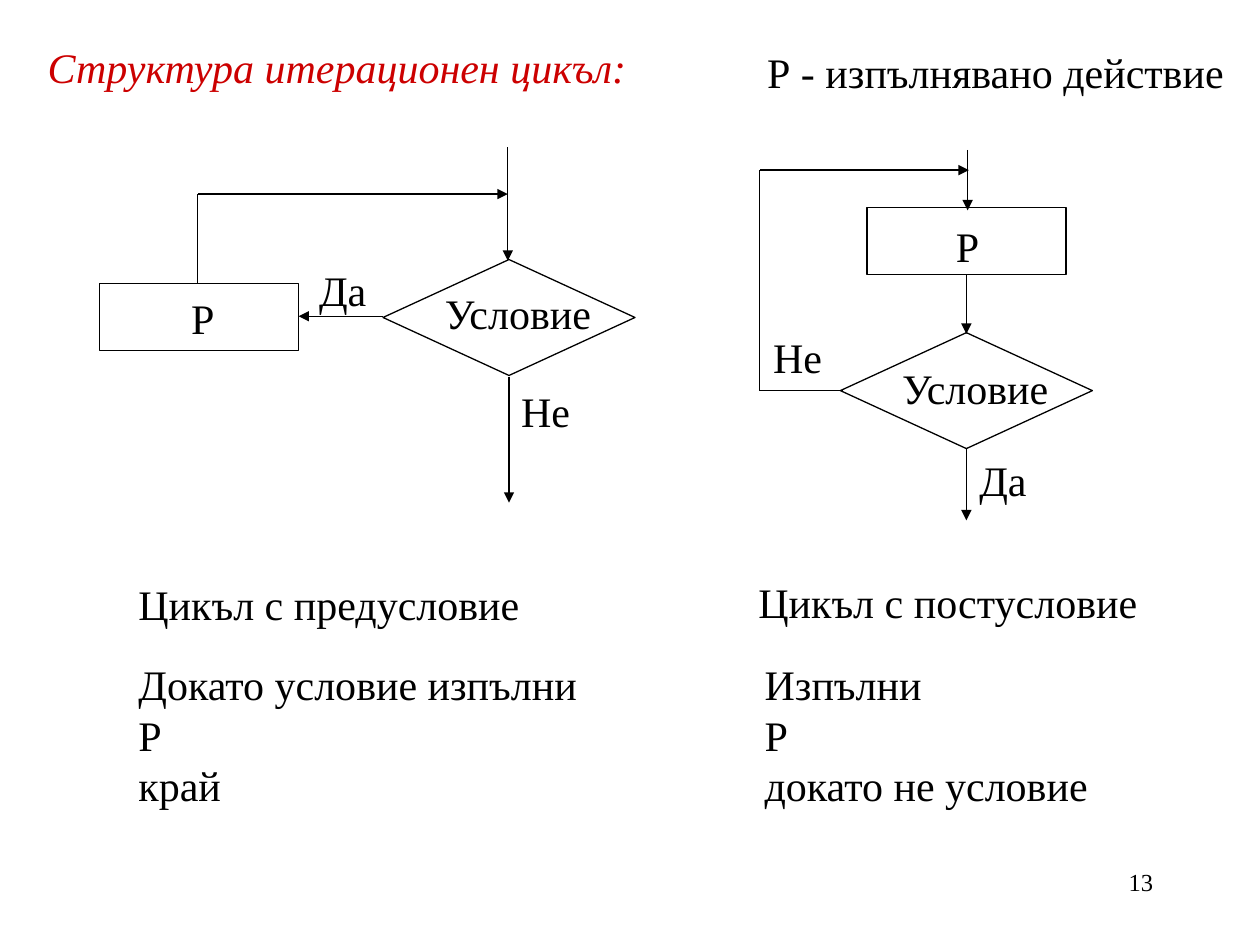
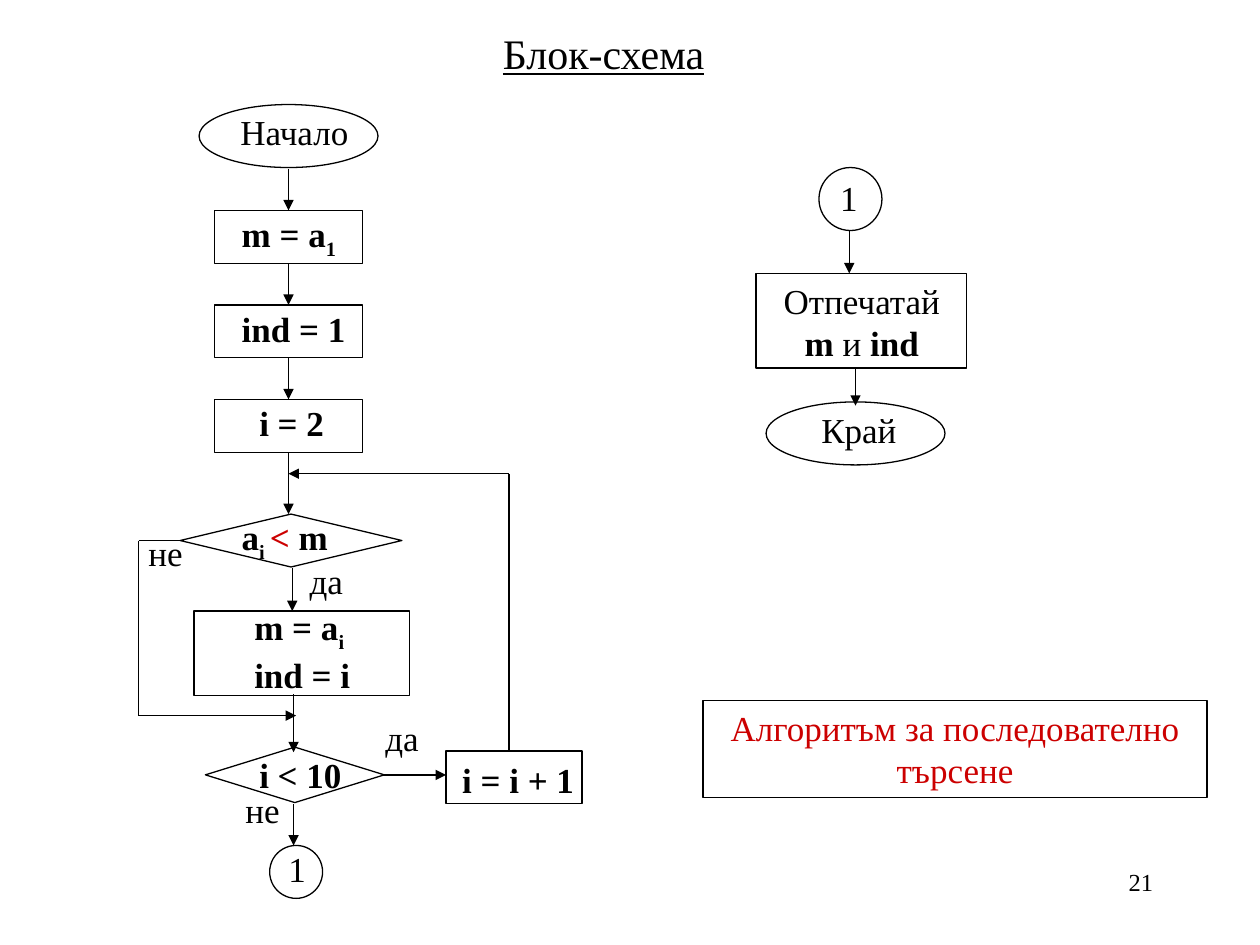
from pptx import Presentation
from pptx.dml.color import RGBColor
from pptx.enum.shapes import MSO_CONNECTOR as Link, MSO_SHAPE as Kind
from pptx.enum.text import MSO_ANCHOR as Anchor, PP_ALIGN as Align
from pptx.oxml.ns import qn
from pptx.util import Inches, Pt
from lxml import etree

WIDE, HIGH = 10, 7.5
FONT, INK, RED = "Times New Roman", "000000", "CC0000"
SIDES = {"l": Align.LEFT, "c": Align.CENTER, "r": Align.RIGHT}
KINDS = {"box": Kind.RECTANGLE, "test": Kind.DIAMOND, "oval": Kind.OVAL}

# Loop slide: every test and every action has one size
TEST, ACT = (2, 0.92), (1.58, 0.53)
LOOPS = [
    {
        "test": (3.04, 2.06),
        "act": (0.79, 2.25),
        "words": [(3.4, 2.28, "Условие"), (2.47, 2.1, "Да"),
                  (4.08, 3.06, "Не"), (1.36, 2.32, "Р")],
        "arrows": [[(4.03, 1.17), (4.03, 2.07)],
                   [(3.04, 2.51), (2.37, 2.51)],
                   [(4.04, 2.99), (4.04, 3.99)],
                   [(1.57, 2.25), (1.57, 1.54), (4.03, 1.54)]],
        "notes": [(1, 4.54, "Цикъл с предусловие"),
                  (1, 5.18, "Докато условие изпълни\nР\nкрай")],
    },
    {
        "test": (6.67, 2.64),
        "act": (6.88, 1.65),
        "words": [(7.03, 2.88, "Условие"), (6.08, 2.63, "Не"),
                  (7.71, 3.61, "Да"), (7.43, 1.75, "Р")],
        "arrows": [[(7.68, 1.19), (7.68, 1.67)],
                   [(7.67, 2.18), (7.67, 2.65)],
                   [(7.67, 3.56), (7.67, 4.13)],
                   [(6.69, 3.1), (6.03, 3.1), (6.03, 1.35), (7.69, 1.35)]],
        "notes": [(5.92, 4.53, "Цикъл с постусловие"),
                  (5.97, 5.18, "Изпълни\nР\nдокато не условие")],
    },
]

# Search slide: the first steps hang on one axis, one row apart
AXIS, TOP, ROW, STEP = 2.29, 1.67, 0.75, (1.17, 0.42)
STEPS = [
    (1.82, 1.64, [("m = a", "b"), ("1", "bs")]),
    (1.82, 2.39, [("ind = 1", "b")]),
    (1.96, 3.14, [("i = 2", "b")]),
]
PARTS = [
    ("oval", 1.58, 0.83, 1.42, 0.5),
    ("test", 1.43, 4.08, 1.76, 0.42),
    ("box", 1.54, 4.85, 1.71, 0.67),
    ("test", 1.63, 5.93, 1.42, 0.44),
    ("box", 3.54, 5.96, 1.08, 0.42),
    ("oval", 2.14, 6.71, 0.42, 0.42),
    ("oval", 6.5, 1.33, 0.5, 0.5),
    ("box", 6, 2.17, 1.67, 0.75),
    ("oval", 6.08, 3.19, 1.42, 0.5),
    ("box", 5.58, 5.56, 4, 0.77),
]
WORDS = [
    (1.81, 0.83, "Начало"),
    (1.82, 4.04, [("a", "b"), ("i ", "bs"), ("<", "br"), (" m", "b")]),
    (1.92, 4.76, [("m = a", "b"), ("i", "bs"), ("\n", ""), ("ind = i", "b")]),
    (1.96, 5.93, [("i < 10", "b")]),
    (3.57, 5.97, [("i = i + 1", "b")]),
    (2.19, 6.68, "1"),
    (6.57, 1.35, "1"),
    (6.42, 3.19, "Край"),
    (2.36, 4.39, "да"),
    (2.96, 5.64, "да"),
    (1.08, 4.17, "не"),
    (1.85, 6.21, "не"),
]
BLOCKS = [
    (6.03, 2.17, 1.62, 0.77,
     [("Отпечатай ", ""), ("m ", "b"), ("и ", ""), ("ind", "b")]),
    (5.58, 5.56, 4, 0.77, [("Алгоритъм за последователно търсене", "r")]),
]
ARROWS = [
    [(2.32, 4.51), (2.32, 4.85)],
    [(2.33, 5.51), (2.33, 5.97)],
    [(2.33, 6.38), (2.33, 6.71)],
    [(3.04, 6.15), (3.54, 6.15)],
    [(4.04, 5.95), (4.04, 3.76), (AXIS, 3.76)],
    [(1.43, 4.29), (1.1, 4.29), (1.1, 5.68), (2.35, 5.68)],
    [(6.74, 1.83), (6.74, 2.17)],
    [(6.79, 2.93), (6.79, 3.22)],
]


def paint(code):
    return RGBColor.from_string(code)


def stroke(line):
    line.color.rgb = paint(INK)
    line.width = Pt(0.75)


def form(slide, kind, *rect):
    shape = slide.shapes.add_shape(KINDS[kind], *map(Inches, rect))
    shape.shadow.inherit = False
    shape.fill.background()
    stroke(shape.line)


def style(run, size, marks):
    """Marks: b bold, i italic, u underline, r red, s subscript."""
    font = run.font
    font.name, font.size = FONT, Pt(size)
    font.color.rgb = paint(RED if "r" in marks else INK)
    font.bold, font.italic, font.underline = (m in marks for m in "biu")
    if "s" in marks:
        font._element.set("baseline", "-25000")


def write(slide, rect, text, size=24, side="l", pad=1, marks=""):
    """Text is one string, or a list of (words, marks)."""
    frame = slide.shapes.add_textbox(*map(Inches, rect)).text_frame
    frame.word_wrap = True
    frame.vertical_anchor = Anchor.TOP
    frame.margin_left = frame.margin_right = Inches(0.1 * pad)
    frame.margin_top = frame.margin_bottom = Inches(0.05 * pad)
    para = frame.paragraphs[0]
    para.alignment = SIDES[side]
    if isinstance(text, str):
        para.text = text
        for run in para.runs:
            style(run, size, marks)
        return
    for words, look in text:
        if words == "\n":
            para.add_line_break()
            continue
        run = para.add_run()
        run.text = words
        style(run, size, look)


def route(slide, points):
    """Straight lines through the points, with an arrowhead at the last."""
    for start, end in zip(points, points[1:]):
        line = slide.shapes.add_connector(
            Link.STRAIGHT, *map(Inches, start + end))
        stroke(line.line)
        if end == points[-1]:
            head = etree.SubElement(line.line._get_or_add_ln(), qn("a:tailEnd"))
            head.set("type", "triangle")
        etree.SubElement(line._element.spPr, qn("a:effectLst"))


def page(deck, number):
    slide = deck.slides.add_slide(deck.slide_layouts[6])
    write(slide, (7.17, 6.83, 2.08, 0.5), number, 14, "r")
    return slide


def draw_loops(deck):
    slide = page(deck, "13")
    write(slide, (0.28, 0.28, 5, 0.5), "Структура итерационен цикъл:",
          marks="ir")
    write(slide, (5.99, 0.32, 3.92, 0.56), "Р - изпълнявано действие")
    for loop in LOOPS:
        form(slide, "test", *loop["test"], *TEST)
        form(slide, "box", *loop["act"], *ACT)
        for points in loop["arrows"]:
            route(slide, points)
        for left, top, text in loop["words"]:
            wide = 1.42 if len(text) > 2 else 0.5
            write(slide, (left, top, wide, 0.4), text, side="c", pad=0)
        for left, top, text in loop["notes"]:
            tall = 0.1 + 0.4 * len(text.split("\n"))
            write(slide, (left, top, 3.92, tall), text)


def draw_search(deck):
    slide = page(deck, "21")
    write(slide, (3.75, 0.17, 2.08, 0.5), "Блок-схема", side="c", marks="u")
    wide, tall = STEP
    for row, word in enumerate(STEPS):
        top = TOP + row * ROW
        form(slide, "box", AXIS - wide / 2, top, wide, tall)
        route(slide, [(AXIS, top - ROW + tall), (AXIS, top)])
    route(slide, [(AXIS, top + tall), (AXIS, 4.08)])
    for part in PARTS:
        form(slide, *part)
    for points in ARROWS:
        route(slide, points)
    for left, top, text in STEPS + WORDS:
        short = isinstance(text, str) and len(text) < 3
        write(slide, (left, top, 0.5 if short else 1.17, 0.44), text, 20)
    for *rect, text in BLOCKS:
        write(slide, rect, text, 20, "c")


def main():
    deck = Presentation()
    deck.slide_width, deck.slide_height = Inches(WIDE), Inches(HIGH)
    draw_loops(deck)
    draw_search(deck)
    deck.save("out.pptx")


if __name__ == "__main__":
    main()
